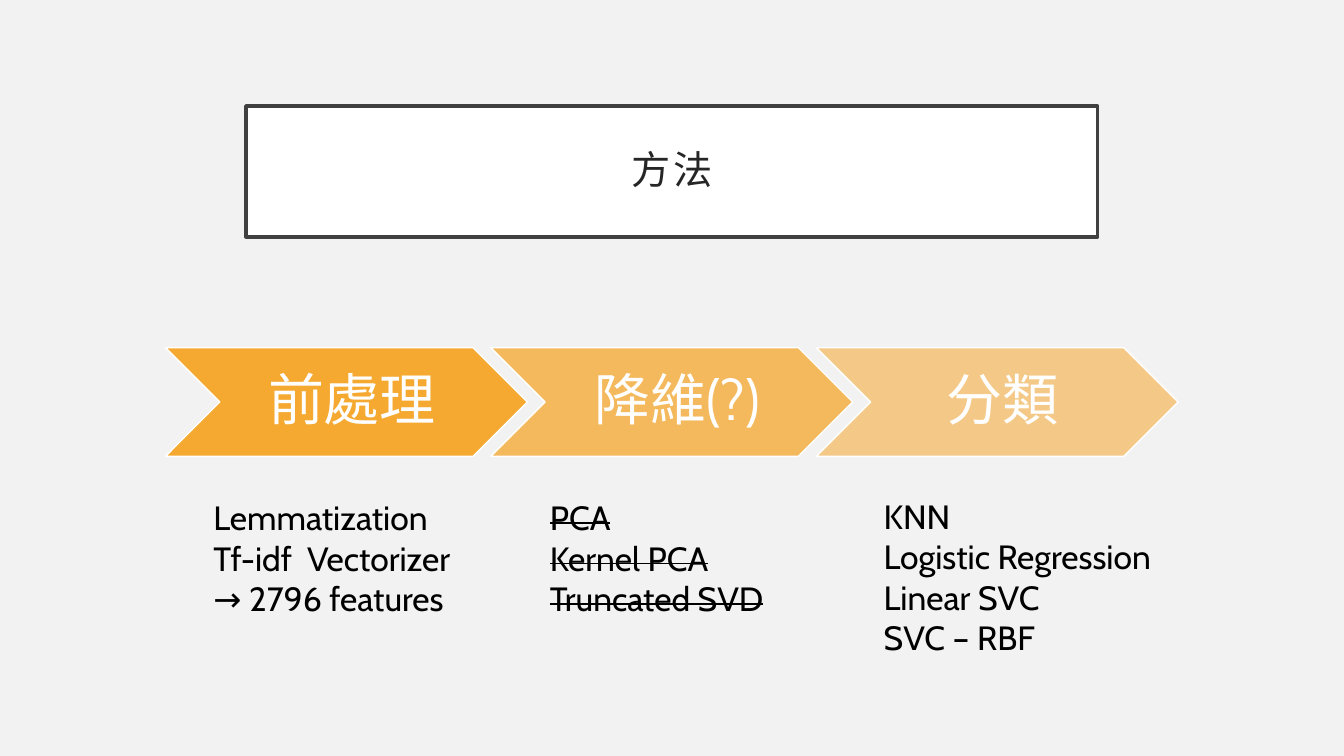
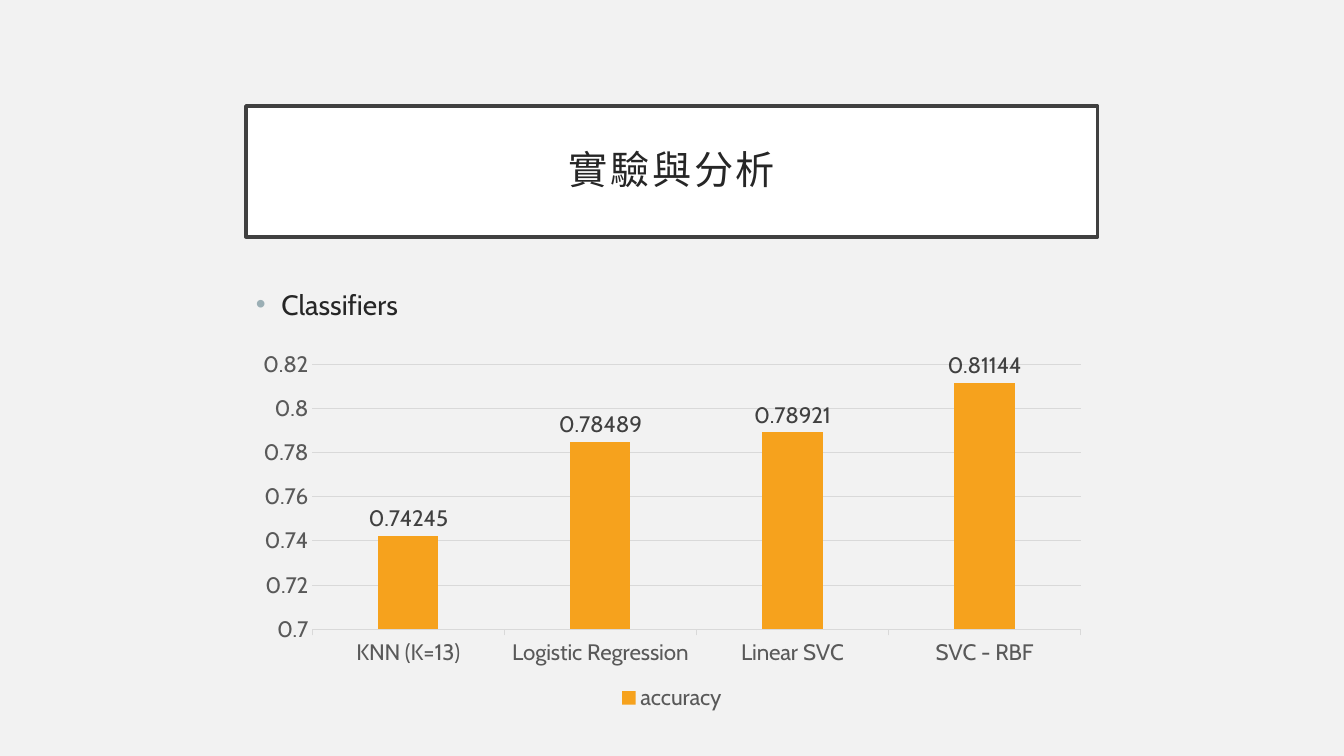
import lxml.etree
import pptx
import pptx.chart.data
import pptx.dml.color
import pptx.enum.chart
import pptx.enum.shapes
import pptx.enum.text
import pptx.oxml.ns
import pptx.util

Cm = pptx.util.Cm
Pt = pptx.util.Pt
qn = pptx.oxml.ns.qn
ALIGN = pptx.enum.text.PP_ALIGN
MIDDLE = pptx.enum.text.MSO_ANCHOR.MIDDLE


def rgb(value):
    return pptx.dml.color.RGBColor.from_string(value)


def box(left, top, width, height):
    return Cm(left), Cm(top), Cm(width), Cm(height)


class Deck:
    FONT = "Cabin"
    PAPER = "F2F2F2"
    WHITE = "FFFFFF"
    BLACK = "000000"
    INK = "262626"
    FRAME = "404040"
    AXIS = "595959"
    GRID = "D9D9D9"
    ACCENT = "F6A21D"
    BULLET = "9BAFB5"
    LEFT = 6.2
    WIDTH = 21.46

    def __init__(self):
        self.prs = pptx.Presentation()
        self.prs.slide_width = Cm(33.87)
        self.prs.slide_height = Cm(19.05)
        self.fill(self.prs.slide_master.background, self.PAPER)
        self.s = None

    def fill(self, target, color):
        target.fill.solid()
        target.fill.fore_color.rgb = rgb(color)

    def line(self, target, color, width):
        target.line.color.rgb = rgb(color)
        target.line.width = Pt(width)

    def font(self, font, size, color):
        font.name = self.FONT
        font.size = Pt(size)
        font.color.rgb = rgb(color)

    def run(self, p, text, size, color):
        r = p.add_run()
        r.text = text
        self.font(r.font, size, color)
        return r

    def frame(self, sp, left, top, right, bottom):
        tf = sp.text_frame
        tf.word_wrap = True
        tf.auto_size = pptx.enum.text.MSO_AUTO_SIZE.NONE
        tf.margin_left, tf.margin_top = Cm(left), Cm(top)
        tf.margin_right, tf.margin_bottom = Cm(right), Cm(bottom)
        return tf

    def centered(self, tf):
        tf.vertical_anchor = MIDDLE
        p = tf.paragraphs[0]
        p.alignment = ALIGN.CENTER
        p.line_spacing = 0.9
        return p

    def slide(self, title):
        self.s = self.prs.slides.add_slide(self.prs.slide_layouts[5])
        sp = self.s.shapes.title
        sp.left, sp.top, sp.width, sp.height = box(self.LEFT, 2.67, self.WIDTH, 3.3)
        self.fill(sp, self.WHITE)
        self.line(sp, self.FRAME, 2.5)
        p = self.centered(self.frame(sp, 0.5, 0.5, 0.5, 0.5))
        r = self.run(p, title, 28, self.INK)
        r.font._element.set("spc", "200")

    def chevron(self, left, text, opacity):
        sp = self.s.shapes.add_shape(
            pptx.enum.shapes.MSO_SHAPE.CHEVRON, *box(left, 8.76, 9.12, 2.74))
        sp.shadow.inherit = False
        self.fill(sp, self.ACCENT)
        self.line(sp, self.WHITE, 1)
        color = sp._element.spPr.find(qn("a:solidFill")).find(qn("a:srgbClr"))
        lxml.etree.SubElement(color, qn("a:alpha")).set("val", str(opacity * 1000))
        p = self.centered(self.frame(sp, 0.43, 0.15, 0.15, 0.15))
        self.run(p, text, 40, self.WHITE)

    def text(self, left, top, width, height):
        sp = self.s.shapes.add_textbox(*box(left, top, width, height))
        return self.frame(sp, 0.25, 0.13, 0.25, 0.13)

    def lines(self, left, top, width, lines, struck=False):
        tf = self.text(left, top, width, 0.26 + 1.03 * len(lines))
        for i, text in enumerate(lines):
            p = tf.add_paragraph() if i else tf.paragraphs[0]
            r = self.run(p, text, 24, self.BLACK)
            if struck:
                r.font._element.set("strike", "sngStrike")

    def bullet(self, top, text):
        p = self.text(self.LEFT, top, self.WIDTH, 1.14).paragraphs[0]
        p.space_before = Pt(10)
        pPr = p._p.get_or_add_pPr()
        pPr.set("marL", str(Cm(0.64)))
        pPr.set("indent", str(-Cm(0.64)))
        color = lxml.etree.SubElement(pPr, qn("a:buClr"))
        lxml.etree.SubElement(color, qn("a:srgbClr")).set("val", self.BULLET)
        lxml.etree.SubElement(pPr, qn("a:buFont")).set("typeface", "Arial")
        lxml.etree.SubElement(pPr, qn("a:buChar")).set("char", "•")
        self.run(p, text, 20, self.INK)

    def columns(self, top, height, name, values, low, high, step):
        data = pptx.chart.data.CategoryChartData()
        data.categories = list(values)
        data.add_series(name, list(values.values()))
        chart = self.s.shapes.add_chart(
            pptx.enum.chart.XL_CHART_TYPE.COLUMN_CLUSTERED,
            *box(self.LEFT, top, self.WIDTH, height), data).chart
        self.font(chart.font, 16, self.AXIS)
        chart.has_title = False
        chart.has_legend = True
        chart.legend.position = pptx.enum.chart.XL_LEGEND_POSITION.BOTTOM
        chart.legend.include_in_layout = False
        self.font(chart.legend.font, 16, self.AXIS)

        plot = chart.plots[0]
        plot.gap_width = 219
        plot.overlap = -27
        plot.vary_by_categories = False
        series = plot.series[0]
        series.invert_if_negative = False
        self.fill(series.format, self.ACCENT)
        labels = series.data_labels
        labels.show_value = True
        labels.position = pptx.enum.chart.XL_LABEL_POSITION.OUTSIDE_END
        self.font(labels.font, 16, self.FRAME)

        axis = chart.value_axis
        axis.minimum_scale, axis.maximum_scale = low, high
        axis.major_unit = step
        axis.major_tick_mark = pptx.enum.chart.XL_TICK_MARK.NONE
        axis.format.line.fill.background()
        self.line(axis.major_gridlines.format, self.GRID, 0.75)
        self.line(chart.category_axis.format, self.GRID, 0.75)
        for axis in (chart.value_axis, chart.category_axis):
            self.font(axis.tick_labels.font, 16, self.AXIS)


def main():
    deck = Deck()

    deck.slide("方法")
    steps = [("前處理", 90), ("降維(?)", 70), ("分類", 50)]
    for i, (text, opacity) in enumerate(steps):
        deck.chevron(4.17 + 8.2 * i, text, opacity)
    deck.lines(5.13, 12.4, 6.6, ["Lemmatization", "Tf-idf  Vectorizer", "→ 2796 features"])
    deck.lines(13.61, 12.4, 6.15, ["PCA", "Kernel PCA", "Truncated SVD"], struck=True)
    deck.lines(22.02, 12.37, 8.08, ["KNN", "Logistic Regression", "Linear SVC", "SVC – RBF"])

    deck.slide("實驗與分析")
    deck.columns(8.66, 9.37, "accuracy", {
        "KNN (K=13)": 0.74245,
        "Logistic Regression": 0.78489,
        "Linear SVC": 0.78921,
        "SVC - RBF": 0.81144,
    }, 0.7, 0.82, 0.02)
    deck.bullet(7.11, "Classifiers")

    deck.prs.save("out.pptx")


if __name__ == "__main__":
    main()
